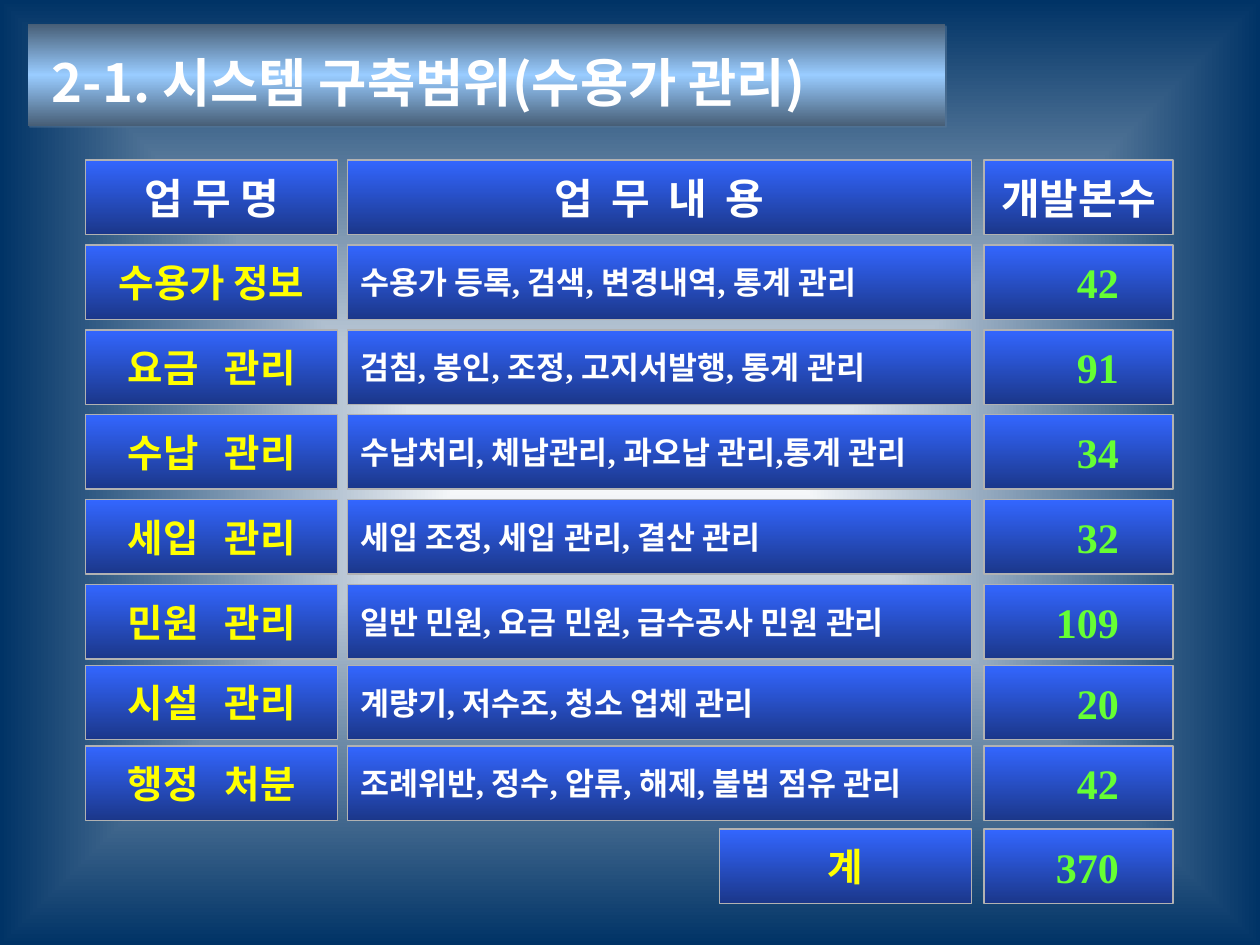
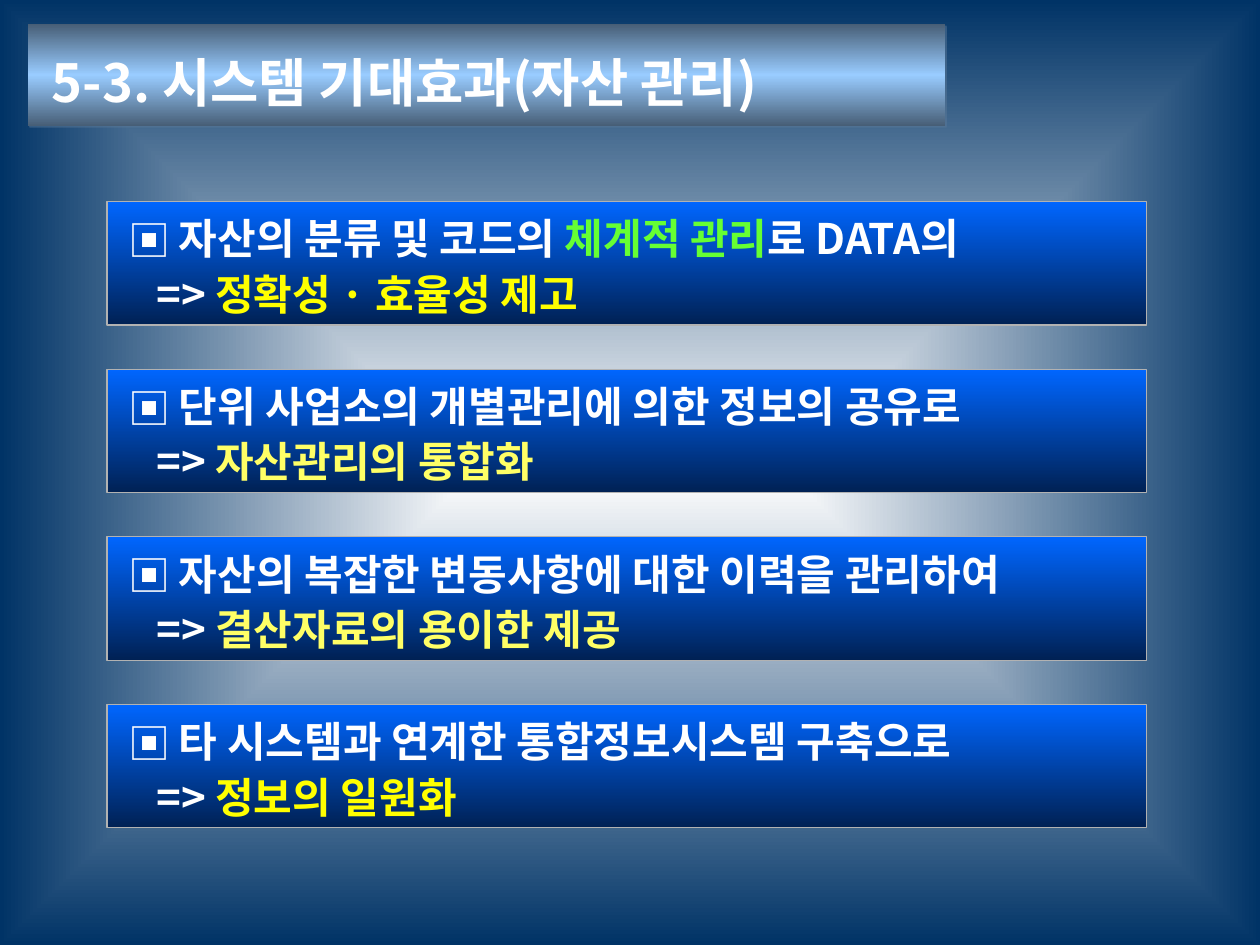
from dataclasses import dataclass

from lxml import etree
from pptx import Presentation
from pptx import util as u
from pptx.dml.color import RGBColor
from pptx.enum import shapes, text
from pptx.oxml import ns

COLORS = {
    "white": "FFFFFF", "yellow": "FFFF00", "pale_yellow": "FFFF66", "green": "66FF33",
    "navy": "003366", "border": "B2B2B2", "shadow": "5B7998",
    "cell_top": "3366FF", "cell_bottom": "1B378A",
    "panel_top": "0066FF", "panel_bottom": "002154",
    "band_edge": "475E76", "band_middle": "99CCFF",
}
KOREAN = "Noto Sans CJK KR"
SERIF = "Times New Roman"
TITLE_ONLY = 5
ALIGN = text.PP_ALIGN


@dataclass(frozen=True)
class Column:
    left: float
    width: float


@dataclass(frozen=True)
class CellStyle:
    size: int
    color: str
    font: str = KOREAN
    align: ALIGN = ALIGN.CENTER
    right_margin: float = 0.1
    gap: int = 0


@dataclass(frozen=True)
class Task:
    name: str
    content: str
    count: int
    gap: int = 10


@dataclass(frozen=True)
class Effect:
    cause: tuple[tuple[str, str], ...]
    result: str
    result_color: str


TASK, CONTENT, COUNT = Column(0.68, 2), Column(2.76, 4.95), Column(7.81, 1.5)
TOTAL = Column(5.71, 2)
ROW_HEIGHT = 0.59
HEADER_TOP, LAST_WIDE_TOP, TOTAL_TOP = 1.27, 4.64, 6.58
WIDE_ROWS, NARROW_PITCH = 5, 0.64

HEADER = CellStyle(24, "white")
SPACED_HEADER = CellStyle(24, "white", gap=5)
CONTENT_STYLE = CellStyle(18, "white", SERIF, ALIGN.LEFT)
COUNT_STYLE = CellStyle(24, "green", SERIF, ALIGN.RIGHT, 0.43)

TASKS = [
    Task("수용가 정보", "수용가 등록, 검색, 변경내역, 통계 관리", 42, 0),
    Task("요금 관리", "검침, 봉인, 조정, 고지서발행, 통계 관리", 91),
    Task("수납 관리", "수납처리, 체납관리, 과오납 관리,통계 관리", 34),
    Task("세입 관리", "세입 조정, 세입 관리, 결산 관리", 32),
    Task("민원 관리", "일반 민원, 요금 민원, 급수공사 민원 관리", 109),
    Task("시설 관리", "계량기, 저수조, 청소 업체 관리", 20),
    Task("행정 처분", "조례위반, 정수, 압류, 해제, 불법 점유 관리", 42),
]

EFFECTS = [
    Effect((("자산의 분류 및 코드의 ", "white"), ("체계적 관리", "green"), ("로 DATA의", "white")),
           "정확성 · 효율성 제고", "yellow"),
    Effect((("단위 사업소의 개별관리에 의한 정보의 공유로", "white"),),
           "자산관리의 통합화", "pale_yellow"),
    Effect((("자산의 복잡한 변동사항에 대한 이력을 관리하여", "white"),),
           "결산자료의 용이한 제공", "pale_yellow"),
    Effect((("타 시스템과 연계한 통합정보시스템 구축으로", "white"),),
           "정보의 일원화", "yellow"),
]
EFFECT_TOP, EFFECT_PITCH = 1.6, 1.33


def rgb(color: str) -> RGBColor:
    return RGBColor.from_string(COLORS[color])


def add_color(parent, color: str):
    return etree.SubElement(parent, ns.qn("a:srgbClr"), val=COLORS[color])


def paint_gradient(owner, fill, colors: tuple[str, ...], from_center: bool = False) -> None:
    fill.gradient()
    gradient = owner._element.find(".//" + ns.qn("a:gradFill"))
    for child in list(gradient):
        gradient.remove(child)
    stops = etree.SubElement(gradient, ns.qn("a:gsLst"))
    for i, color in enumerate(colors):
        position = str(100000 * i // (len(colors) - 1))
        add_color(etree.SubElement(stops, ns.qn("a:gs"), pos=position), color)
    if from_center:
        shade = etree.SubElement(gradient, ns.qn("a:path"), path="rect")
        etree.SubElement(shade, ns.qn("a:fillToRect"), l="50000", t="50000", r="50000", b="50000")
    else:
        etree.SubElement(gradient, ns.qn("a:lin"), ang="5400000", scaled="1")


def set_font(paragraph, size: int, color: str, name: str = KOREAN) -> None:
    font = paragraph.font
    font.size, font.bold, font.name = u.Pt(size), True, name
    font.color.rgb = rgb(color)
    defaults = paragraph._p.pPr.find(ns.qn("a:defRPr"))
    latin = defaults.find(ns.qn("a:latin"))
    latin.addnext(etree.Element(ns.qn("a:ea"), typeface=KOREAN))


def add_run(paragraph, words: str, color: str) -> None:
    run = paragraph.add_run()
    run.text = words
    run.font.color.rgb = rgb(color)


def add_spaced_words(paragraph, words: str, gap: int) -> None:
    for i, word in enumerate(words.split(" ")):
        if i:
            space = paragraph.add_run()
            space.text = " "
            space._r.get_or_add_rPr().set("spc", str(gap * 100))
        paragraph.add_run().text = word


def set_indent(paragraph, left: float, first: float = 0, bullet: str = "") -> None:
    properties = paragraph._p.get_or_add_pPr()
    properties.set("marL", str(u.Inches(left)))
    properties.set("indent", str(u.Inches(first)))
    if bullet:
        etree.SubElement(properties, ns.qn("a:buFont"), typeface=KOREAN)
        etree.SubElement(properties, ns.qn("a:buChar"), char=bullet)


def place_title(slide, words: str) -> None:
    title = slide.shapes.title
    title.left, title.top = u.Inches(0.22), u.Inches(0.19)
    title.width, title.height = u.Inches(7.28), u.Inches(0.81)
    paint_gradient(title, title.fill, ("band_edge", "band_middle", "band_edge"))
    title.shadow.inherit = False
    effects = title._element.spPr.find(ns.qn("a:effectLst"))
    shadow = etree.SubElement(effects, ns.qn("a:outerShdw"), dist=str(u.Pt(1.4)), dir="2700000")
    etree.SubElement(add_color(shadow, "shadow"), ns.qn("a:alpha"), val="50000")
    frame = title.text_frame
    frame.text = words
    frame.auto_size = text.MSO_AUTO_SIZE.NONE
    frame.vertical_anchor = text.MSO_ANCHOR.MIDDLE
    frame.margin_left = u.Inches(0.19)
    paragraph = frame.paragraphs[0]
    paragraph.alignment, paragraph.line_spacing = ALIGN.LEFT, 1.2
    set_font(paragraph, 30, "white")


def add_box(slide, column: Column, top: float, height: float, colors: tuple[str, str]):
    box = slide.shapes.add_shape(
        shapes.MSO_SHAPE.RECTANGLE, u.Inches(column.left), u.Inches(top),
        u.Inches(column.width), u.Inches(height))
    box.shadow.inherit = False
    paint_gradient(box, box.fill, colors)
    box.line.color.rgb = rgb("border")
    box.line.width = u.Pt(0.75)
    box.text_frame.vertical_anchor = text.MSO_ANCHOR.MIDDLE
    return box.text_frame


def add_cell(slide, column: Column, top: float, words: str, style: CellStyle) -> None:
    frame = add_box(slide, column, top, ROW_HEIGHT, ("cell_top", "cell_bottom"))
    frame.word_wrap = False
    frame.margin_right = u.Inches(style.right_margin)
    paragraph = frame.paragraphs[0]
    paragraph.alignment = style.align
    set_font(paragraph, style.size, style.color, style.font)
    if style.gap:
        add_spaced_words(paragraph, words, style.gap)
    else:
        paragraph.add_run().text = words


def row_top(row: int) -> float:
    if row <= WIDE_ROWS:
        return HEADER_TOP + row * (LAST_WIDE_TOP - HEADER_TOP) / WIDE_ROWS
    return LAST_WIDE_TOP + (row - WIDE_ROWS) * NARROW_PITCH


def add_effect(slide, top: float, effect: Effect) -> None:
    frame = add_box(slide, Column(0.85, 8.25), top, 0.98, ("panel_top", "panel_bottom"))
    frame.word_wrap = True
    frame.margin_left = u.Inches(0.17)
    cause, result = frame.paragraphs[0], frame.add_paragraph()
    set_indent(cause, 0.4, -0.4, "▣")
    set_indent(result, 0.22)
    for paragraph in (cause, result):
        paragraph.alignment, paragraph.line_spacing = ALIGN.LEFT, 1.1
        set_font(paragraph, 24, "white")
    for words, color in effect.cause:
        add_run(cause, words, color)
    add_run(result, "=> ", "white")
    add_run(result, effect.result, effect.result_color)


def build_scope(slide) -> None:
    place_title(slide, "2-1. 시스템 구축범위(수용가 관리)")
    add_cell(slide, TASK, HEADER_TOP, "업 무 명", HEADER)
    add_cell(slide, CONTENT, HEADER_TOP, "업 무 내 용", SPACED_HEADER)
    add_cell(slide, COUNT, HEADER_TOP, "개발본수", HEADER)
    for row, task in enumerate(TASKS, start=1):
        top = row_top(row)
        add_cell(slide, TASK, top, task.name, CellStyle(22, "yellow", gap=task.gap))
        add_cell(slide, CONTENT, top, task.content, CONTENT_STYLE)
        add_cell(slide, COUNT, top, str(task.count), COUNT_STYLE)
    add_cell(slide, TOTAL, TOTAL_TOP, "계", CellStyle(22, "yellow"))
    add_cell(slide, COUNT, TOTAL_TOP, str(sum(task.count for task in TASKS)), COUNT_STYLE)


def build_effects(slide) -> None:
    place_title(slide, "5-3. 시스템 기대효과(자산 관리)")
    for i, effect in enumerate(EFFECTS):
        add_effect(slide, EFFECT_TOP + i * EFFECT_PITCH, effect)


def main() -> None:
    deck = Presentation()
    deck.slide_width, deck.slide_height = u.Inches(10), u.Inches(7.5)
    master = deck.slide_master
    paint_gradient(master, master.background.fill, ("white", "navy"), from_center=True)
    for build in (build_scope, build_effects):
        build(deck.slides.add_slide(deck.slide_layouts[TITLE_ONLY]))
    deck.save("out.pptx")


if __name__ == "__main__":
    main()
